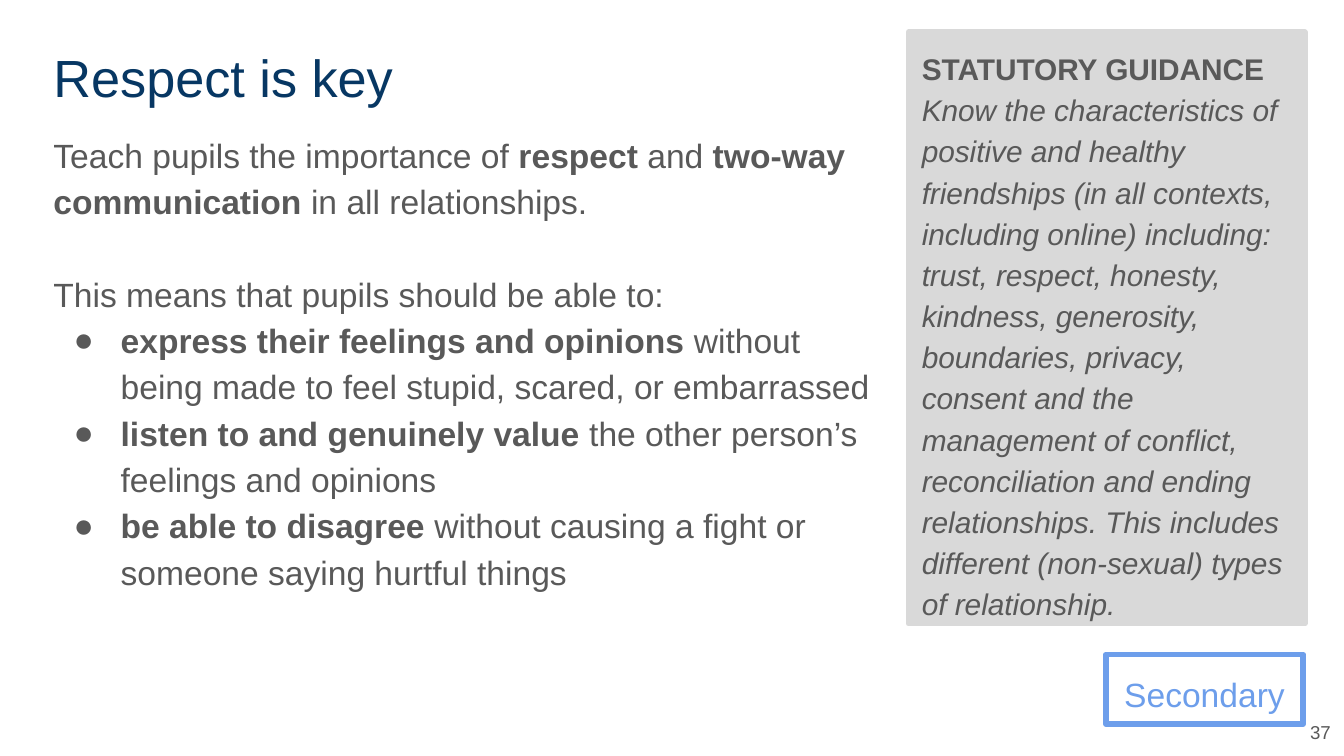
"""Build the slide 'Respect is key' with its guidance panel and stage label."""
from lxml import etree
from pptx import Presentation
from pptx import util as u
from pptx.dml.color import RGBColor
from pptx.enum import shapes, text
from pptx.oxml.ns import qn

GREY, NAVY, BLUE, PANEL = "595959", "073763", "6D9EEB", "D9D9D9"


def colour(value):
    """Turn a hex string into a colour."""
    return RGBColor.from_string(value)


def style(box, place, size, hue, spacing=1.15, align=text.PP_ALIGN.LEFT):
    """Place a box and format all its text."""
    box.left, box.top, box.width, box.height = [u.Cm(length) for length in place]
    frame = box.text_frame
    frame.word_wrap = True
    frame.auto_size = text.MSO_AUTO_SIZE.NONE
    frame.vertical_anchor = text.MSO_ANCHOR.TOP
    frame.margin_left = frame.margin_right = u.Cm(0.25)
    frame.margin_top = frame.margin_bottom = u.Cm(0.25)
    for para in frame.paragraphs:
        para.alignment = align
        para.line_spacing = spacing
        para.space_before = para.space_after = u.Pt(0)
        for span in para.runs:
            span.font.name = "Arial"
            span.font.size = u.Pt(size)
            span.font.color.rgb = colour(hue)


deck = Presentation()
deck.slide_width, deck.slide_height = u.Cm(25.4), u.Cm(14.29)
page = deck.slides.add_slide(deck.slide_layouts.get_by_name("Two Content"))
title, body, guidance = page.placeholders

title.text_frame.text = "Respect is key"
style(title, (0.76, 0.61, 16.28, 1.6), 28, NAVY, spacing=1.0)

lines = [
    (False, [("Teach pupils the importance of ", False), ("respect", True), (" and ", False),
             ("two-way communication", True), (" in all relationships.", False)]),
    (False, [("This means that pupils should be able to:", False)]),
    (True, [("express their feelings and opinions", True),
            (" without being made to feel stupid, scared, or embarrassed", False)]),
    (True, [("listen to and genuinely value", True),
            (" the other person’s feelings and opinions", False)]),
    (True, [("be able to disagree ", True),
            ("without causing a fight or someone saying hurtful things", False)]),
]
frame = body.text_frame
for number, (bulleted, spans) in enumerate(lines):
    para = frame.add_paragraph() if number else frame.paragraphs[0]
    for words, bold in spans:
        span = para.add_run()
        span.text = words
        span.font.bold = bold
style(body, (0.76, 2.18, 16.28, 10.19), 18, GREY)
frame.paragraphs[1].space_before = u.Pt(24.8)

for para, (bulleted, spans) in zip(frame.paragraphs, lines):
    props = para._p.get_or_add_pPr()
    props.set("marL", str(u.Cm(1.27) if bulleted else 0))
    props.set("indent", str(u.Cm(-0.89) if bulleted else 0))
    if bulleted:
        tint = etree.SubElement(props, qn("a:buClr"))
        etree.SubElement(tint, qn("a:srgbClr"), val=GREY)
        etree.SubElement(props, qn("a:buFont"), typeface="Arial")
        etree.SubElement(props, qn("a:buChar"), char="●")
    else:
        etree.SubElement(props, qn("a:buNone"))

para = guidance.text_frame.paragraphs[0]
para.text = (
    "STATUTORY GUIDANCE\vKnow the characteristics of positive and healthy friendships "
    "(in all contexts, including online) including: trust, respect, honesty, kindness, "
    "generosity, boundaries, privacy, consent and the management of conflict, "
    "reconciliation and ending relationships. This includes different (non-sexual) "
    "types of relationship."
)
heading, detail = para.runs
heading.font.bold = True
detail.font.italic = True
etree.SubElement(para._p.find(qn("a:br")), qn("a:rPr"), sz="1600")
style(guidance, (17.17, 0.61, 7.49, 11.18), 16, GREY)
props = para._p.get_or_add_pPr()
props.set("marL", "0")
props.set("indent", "0")
etree.SubElement(props, qn("a:buNone"))
guidance.fill.solid()
guidance.fill.fore_color.rgb = colour(PANEL)

stage = page.shapes.add_shape(shapes.MSO_SHAPE.RECTANGLE, 0, 0, 0, 0)
stage.shadow.inherit = False
stage.fill.background()
stage.text_frame.text = "Secondary"
style(stage, (20.9, 12.37, 3.73, 1.32), 18, BLUE, align=text.PP_ALIGN.CENTER)

for box, hue in ((guidance, PANEL), (stage, BLUE)):
    box.line.color.rgb = colour(hue)
    box.line.width = u.Pt(3)
    etree.SubElement(box.line._get_or_add_ln(), qn("a:round"))

page_number = page.shapes.add_textbox(0, 0, 0, 0)
page_number.text_frame.text = "37"
style(page_number, (24.41, 13.36, 0.99, 0.94), 10, GREY, 1.0, text.PP_ALIGN.RIGHT)
page_number.text_frame.vertical_anchor = text.MSO_ANCHOR.MIDDLE

deck.save("out.pptx")
